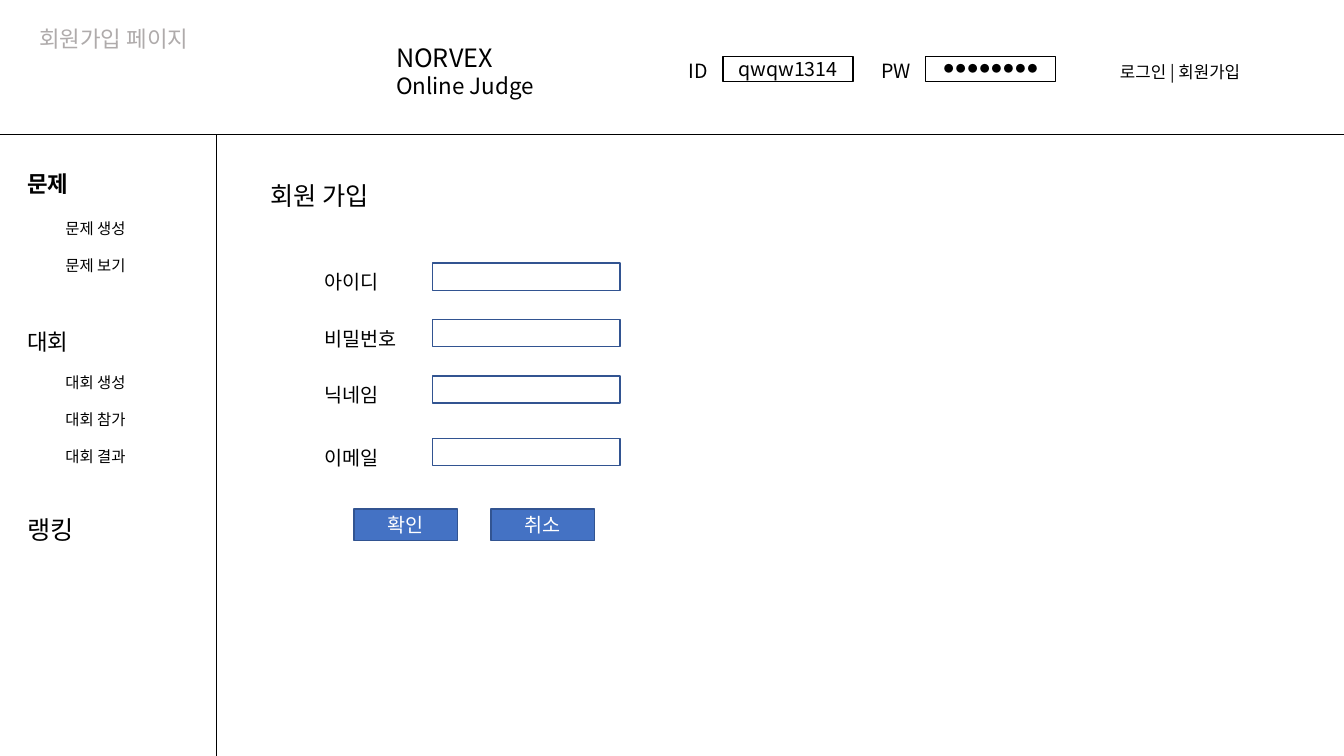
from lxml.etree import SubElement
from pptx import Presentation
from pptx.dml.color import RGBColor
from pptx.enum.shapes import MSO_CONNECTOR, MSO_SHAPE
from pptx.enum.text import MSO_ANCHOR, MSO_AUTO_SIZE, PP_ALIGN
from pptx.oxml.ns import qn
from pptx.util import Inches, Pt

BLACK, WHITE, GREY = "000000", "FFFFFF", "AFABAB"
BLUE, NAVY = "4472C4", "325491"
COLUMNS, ROWS = 133.3, 75


def color(hex_code):
    return RGBColor.from_string(hex_code)


def cells(*counts):
    """Lengths in grid cells, ten to the inch."""
    return [Inches(count / 10) for count in counts]


class Page:
    font = "Noto Sans CJK KR"
    leading = 1.2
    drop = 0.2

    def __init__(self, slide):
        self.slide = slide

    def add_words(self, paragraph, words, size, ink=BLACK, bold=False):
        paragraph.line_spacing = Pt(round(size * self.leading, 1))
        run = paragraph.add_run()
        run.text = words
        run.font.name, run.font.size, run.font.bold = self.font, Pt(size), bold
        run.font.color.rgb = color(ink)
        SubElement(run.font._element, qn("a:ea")).set("typeface", self.font)

    def frame(self, shape):
        frame = shape.text_frame
        frame.word_wrap = True
        frame.auto_size = MSO_AUTO_SIZE.NONE
        frame.vertical_anchor = MSO_ANCHOR.TOP
        return frame

    def title(self, left, top, width, height, words, size, ink):
        heading = self.slide.shapes.title
        heading.left, heading.top, heading.width, heading.height = cells(
            left, top + self.drop, width, height)
        paragraph = self.frame(heading).paragraphs[0]
        paragraph.alignment = PP_ALIGN.LEFT
        self.add_words(paragraph, words, size, ink)

    def text(self, left, top, width, height, lines):
        """Each line: words, size, then optional bold, space before, indent."""
        box = self.slide.shapes.add_textbox(
            *cells(left, top + self.drop, width, height))
        frame = self.frame(box)
        for index, (words, size, *options) in enumerate(lines):
            bold, before, indent = options or (False, 0, 0)
            paragraph = frame.add_paragraph() if index else frame.paragraphs[0]
            paragraph.space_before = Pt(before)
            if indent:
                properties = paragraph._p.get_or_add_pPr()
                properties.set("marL", str(cells(indent)[0]))
                properties.set("indent", "0")
            self.add_words(paragraph, words, size, bold=bold)

    def box(self, left, top, width, height, fill, edge, words="", size=14, ink=BLACK):
        shape = self.slide.shapes.add_shape(
            MSO_SHAPE.RECTANGLE, *cells(left, top, width, height))
        shape.shadow.inherit = False
        shape.fill.solid()
        shape.fill.fore_color.rgb = color(fill)
        shape.line.color.rgb = color(edge)
        shape.line.width = Pt(1)
        if words:
            frame = self.frame(shape)
            frame.vertical_anchor = MSO_ANCHOR.MIDDLE
            frame.margin_top = frame.margin_bottom = 0
            frame.paragraphs[0].alignment = PP_ALIGN.CENTER
            self.add_words(frame.paragraphs[0], words, size, ink)

    def rule(self, *ends):
        line = self.slide.shapes.add_connector(MSO_CONNECTOR.STRAIGHT, *cells(*ends))
        line.line.color.rgb = color(BLACK)
        line.line.width = Pt(0.5)
        SubElement(line._element.spPr, qn("a:effectLst"))


deck = Presentation()
deck.slide_width, deck.slide_height = cells(COLUMNS, ROWS)
page = Page(deck.slides.add_slide(deck.slide_layouts[5]))

# Page name and dividing rules
page.title(2.9, 1.8, 20, 3.7, "회원가입 페이지", 16, GREY)
header_bottom, sidebar_right = 13.3, 21.5
page.rule(0, header_bottom, COLUMNS, header_bottom)
page.rule(sidebar_right, header_bottom, sidebar_right, ROWS)

# Sidebar menu
item_gap, item_indent = 13.2, 3.8
menu = [("문제", 16, True, 0, 0, ["문제 생성", "문제 보기"]),
        ("대회", 16, False, 38, 0, ["대회 생성", "대회 참가", "대회 결과"]),
        ("랭킹", 18, False, 35, 0, [])]
menu_lines = []
for *section, items in menu:
    menu_lines.append(section)
    menu_lines += [(item, 11, False, item_gap + (2.4 if item == "문제 생성" else 0),
                    item_indent) for item in items]
page.text(1.7, 16.2, 16, 38.5, menu_lines)

# Header: site name and login
page.text(38.3, 3.5, 18, 6.7, [("NORVEX", 18), ("Online Judge", 16)])
for label, label_left, field_left, entry, entry_size in [
        ("ID", 67.3, 71.7, "qwqw1314", 14),
        ("PW", 86.4, 91.8, " ".join("●" * 8), 7)]:
    page.text(label_left, 5.2, 5.4, 3.4, [(label, 14)])
    page.box(field_left, 5.6, 12.9, 2.5, WHITE, BLACK, entry, entry_size)
page.text(110.1, 5.4, 17, 3, [("로그인 | 회원가입", 12)])

# Sign-up form
page.text(25.8, 17.2, 15, 4, [("회원 가입", 18)])
for field, top in [("아이디", 26.1), ("비밀번호", 31.7),
                   ("닉네임", 37.3), ("이메일", 43.5)]:
    page.text(31.2, top, 10.5, 3.4, [(field, 14)])
    page.box(42.9, top, 18.6, 2.7, WHITE, NAVY)

# Form buttons
for index, action in enumerate(["확인", "취소"]):
    page.box(35.1 + 13.6 * index, 50.5, 10.3, 3.1, BLUE, NAVY, action, 14, WHITE)

deck.save("out.pptx")
